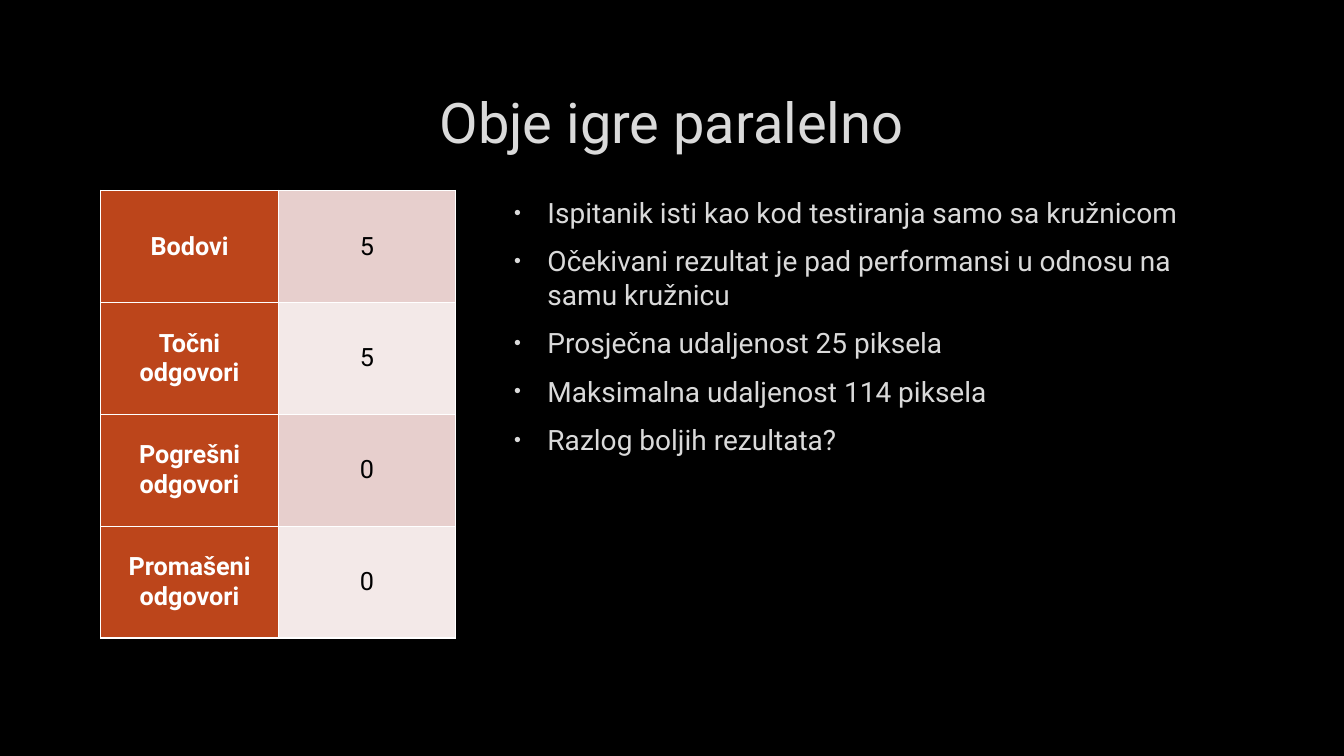
from lxml.etree import SubElement
from pptx import Presentation
from pptx.dml.color import RGBColor
from pptx.enum.text import MSO_ANCHOR, MSO_AUTO_SIZE, PP_ALIGN
from pptx.oxml import parse_xml
from pptx.oxml.ns import nsdecls, qn
from pptx.util import Inches, Pt

COLORS = {
    "background": "000000",
    "text": "DADADA",
    "outline": "404040",
    "header": "BC451B",
    "band_dark": "E7CFCD",
    "band_light": "F3E9E8",
    "white": "FFFFFF",
    "black": "000000",
}
FONT = "Roboto"

TITLE = "Obje igre paralelno"
RESULTS = [
    ("Bodovi", "5"),
    ("Točni odgovori", "5"),
    ("Pogrešni odgovori", "0"),
    ("Promašeni odgovori", "0"),
]
BULLETS = [
    "Ispitanik isti kao kod testiranja samo sa kružnicom",
    "Očekivani rezultat je pad performansi u odnosu na samu kružnicu",
    "Prosječna udaljenost 25 piksela",
    "Maksimalna udaljenost 114 piksela",
    "Razlog boljih rezultata?",
]


def rgb(name):
    return RGBColor.from_string(COLORS[name])


def line_xml(tag, color, width, alpha=100):
    return parse_xml(
        f'<a:{tag} {nsdecls("a")} w="{Pt(width)}"><a:solidFill>'
        f'<a:srgbClr val="{COLORS[color]}"><a:alpha val="{alpha * 1000}"/></a:srgbClr>'
        f'</a:solidFill></a:{tag}>'
    )


def write(p, text, size, color, bold=False, align=PP_ALIGN.LEFT, outline=False):
    p.alignment = align
    r = p.add_run()
    r.text = text
    r.font.name = FONT
    r.font.size = Pt(size)
    r.font.bold = bold
    r.font.color.rgb = rgb(color)
    if outline:
        r.font._element.insert(0, line_xml("ln", "outline", 0.75, alpha=10))


class Deck:
    """Holds the presentation, its style and the current slide."""

    def __init__(self):
        self.prs = Presentation()
        self.prs.slide_width = Inches(13.33)
        self.prs.slide_height = Inches(7.5)
        self.s = self.prs.slides.add_slide(self.prs.slide_layouts[1])
        fill = self.s.background.fill
        fill.solid()
        fill.fore_color.rgb = rgb("background")

    def place(self, sp, left, top, width, height, anchor):
        sp.left, sp.top = Inches(left), Inches(top)
        sp.width, sp.height = Inches(width), Inches(height)
        tf = sp.text_frame
        tf.word_wrap = True
        tf.auto_size = MSO_AUTO_SIZE.NONE
        tf.vertical_anchor = anchor
        return tf

    def title(self, text, *box):
        tf = self.place(self.s.shapes.title, *box, MSO_ANCHOR.MIDDLE)
        write(tf.paragraphs[0], text, 40, "text", align=PP_ALIGN.CENTER, outline=True)

    def bullets(self, items, *box):
        tf = self.place(self.s.placeholders[1], *box, MSO_ANCHOR.TOP)
        for i, item in enumerate(items):
            p = tf.add_paragraph() if i else tf.paragraphs[0]
            p.space_before, p.space_after = Pt(4.5), Pt(6)
            pPr = p._p.get_or_add_pPr()
            pPr.set("marL", str(Inches(0.38)))
            pPr.set("indent", str(Inches(-0.33)))
            color = SubElement(pPr, qn("a:buClr"))
            SubElement(color, qn("a:srgbClr"), val=COLORS["text"])
            SubElement(pPr, qn("a:buSzPct"), val="70000")
            SubElement(pPr, qn("a:buFont"), typeface="Arial")
            SubElement(pPr, qn("a:buChar"), char="•")
            write(p, item, 20, "text", outline=True)

    def table(self, rows, *box):
        frame = self.s.shapes.add_table(len(rows), len(rows[0]), *map(Inches, box))
        for i, row in enumerate(rows):
            band = "band_light" if i % 2 else "band_dark"
            for j, text in enumerate(row):
                is_label = j == 0
                self.cell(frame.table.cell(i, j), text, is_label,
                          "header" if is_label else band)

    def cell(self, cell, text, is_label, fill):
        tcPr = cell._tc.get_or_add_tcPr()
        for side in ("lnL", "lnR", "lnT", "lnB"):
            tcPr.append(line_xml(side, "white", 1))
        cell.fill.solid()
        cell.fill.fore_color.rgb = rgb(fill)
        cell.vertical_anchor = MSO_ANCHOR.MIDDLE
        write(cell.text_frame.paragraphs[0], text, 18,
              "white" if is_label else "black", bold=is_label, align=PP_ALIGN.CENTER)


def main():
    deck = Deck()
    deck.table(RESULTS, 1, 1.89, 3.52, 4.44)
    deck.bullets(BULLETS, 4.95, 1.89, 7.37, 4.44)
    deck.title(TITLE, 1, 0.67, 11.32, 1.06)
    deck.prs.save("out.pptx")


if __name__ == "__main__":
    main()
